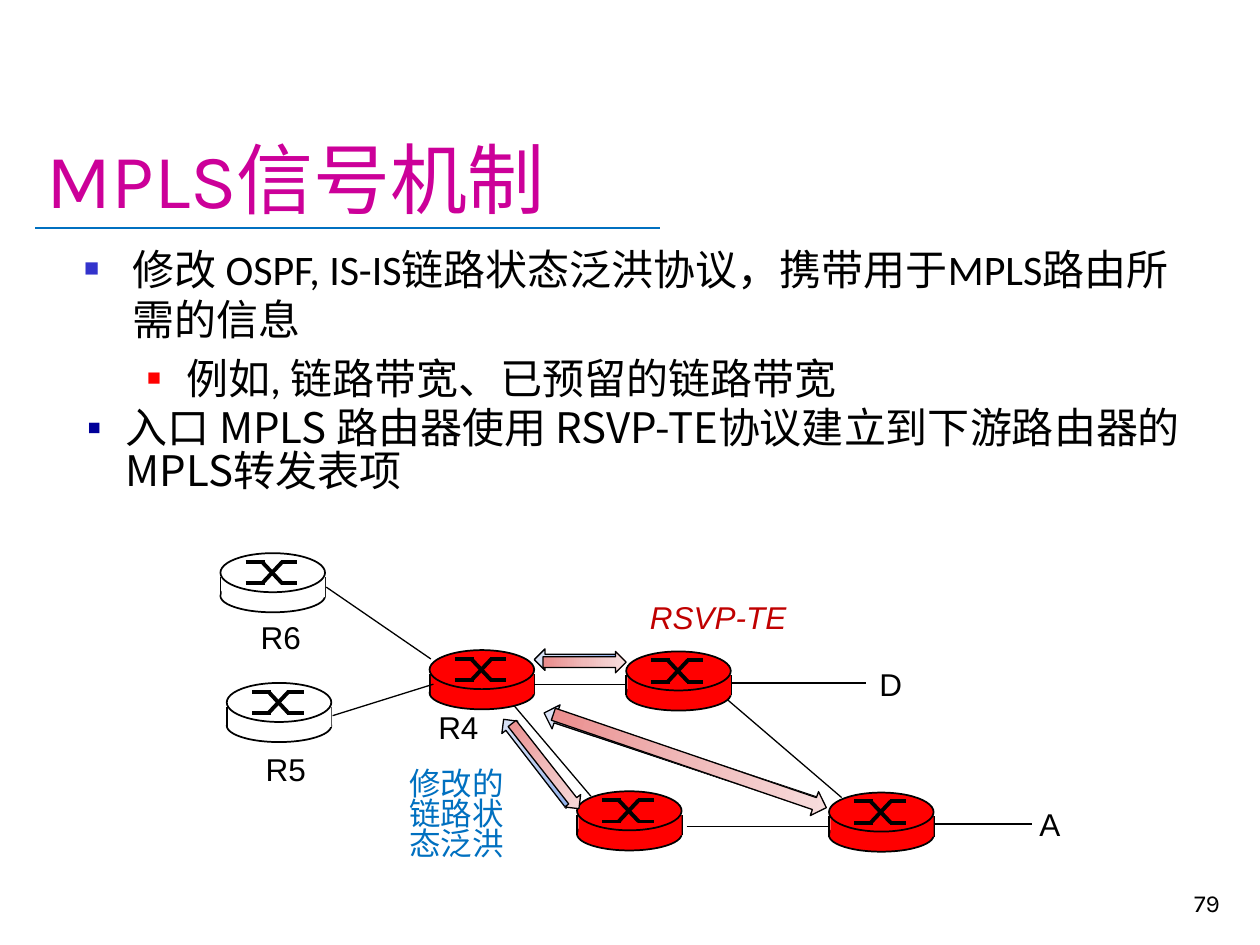
from copy import deepcopy
from lxml.etree import SubElement
from pptx import Presentation
from pptx.dml.color import RGBColor
from pptx.enum.shapes import MSO_CONNECTOR as Conn, MSO_SHAPE as Shape
from pptx.enum.text import MSO_ANCHOR as Anchor, MSO_AUTO_SIZE as Auto, PP_ALIGN as Align
from pptx.oxml.ns import qn
from pptx.util import Inches, Pt

CJK = "Noto Sans CJK SC"
BLACK, RED, WHITE = "000000", "FF0000", "FFFFFF"

# Content: text, indent, bullet, bullet colour, bullet size
TITLE = "MPLS信号机制"
PAGE = "79"
POINTS = [
    ("修改 OSPF, IS-IS链路状态泛洪协议，携带用于MPLS路由所需的信息",
     (0.38, -0.38), "■", "3333CC", 60),
    ("例如, 链路带宽、已预留的链路带宽", (0.81, -0.31), "■", "FF0000", 55),
]
ENTRY = ("入口 MPLS 路由器使用 RSVP-TE协议建立到下游路由器的 MPLS转发表项",
         (0.31, -0.31), "▪", "000099", 100)

# Routers: left, top, colour
ROUTERS = [
    (6.58, 6.29, RED), (4.58, 6.28, RED), (4.97, 5.17, RED),
    (3.41, 5.16, RED), (1.75, 4.39, WHITE), (1.8, 5.42, WHITE),
]
LINKS = [
    (2.59, 4.66, 3.42, 5.23), (2.64, 5.68, 3.44, 5.43),
    (4.24, 5.43, 4.97, 5.43), (4.08, 5.6, 4.69, 6.32),
    (5.45, 6.56, 6.59, 6.56), (5.77, 5.55, 6.68, 6.33),
    (7.42, 6.54, 8.19, 6.54), (5.81, 5.42, 6.87, 5.42),
]
LABELS = [
    ("D", 6.88, 5.23, 0.38), ("R4", 3.38, 5.57, 0.52), ("R5", 2.01, 5.9, 0.52),
    ("A", 8.15, 6.34, 0.37), ("R6", 1.97, 4.86, 0.52),
]
# Signal groups: gradient, arrows (left, top, width, height, turn, flip), note
SIGNALS = [
    (("8CADEA", "BACCF0", "DEE6F7"),
     [(4.24, 5.15, 0.66, 0.17, 180, False), (3.83, 5.97, 0.86, 0.16, 232.3, True),
      (4.26, 5.92, 2.29, 0.2, 198.4, True)],
     ("修改的\n链路状\n态泛洪", (3.15, 6.08, 0.96, 0.82), CJK, "0070C0", False)),
    (("EA8C8C", "F0BABA", "F7DEDE"),
     [(4.31, 5.17, 0.66, 0.17, 0, False), (3.9, 6, 0.86, 0.16, 51.9, True),
      (4.33, 5.94, 2.29, 0.2, 18.9, True)],
     ("RSVP-TE", (5.06, 4.76, 1.3, 0.34), "Arial", "C00000", True)),
]


def rgb(code):
    return RGBColor.from_string(code)


def line(home, x1, y1, x2, y2, color=BLACK, width=0.75):
    link = home.add_connector(Conn.STRAIGHT, *map(Inches, (x1, y1, x2, y2)))
    link.line.color.rgb, link.line.width = rgb(color), Pt(width)
    SubElement(link.element.spPr, qn("a:effectLst"))


def solid(home, kind, box, fill, edge=True):
    part = home.add_shape(kind, *map(Inches, box))
    part.shadow.inherit = False
    part.fill.solid()
    part.fill.fore_color.rgb = rgb(fill)
    if edge:
        part.line.color.rgb, part.line.width = rgb(BLACK), Pt(1)
    else:
        part.line.fill.background()


def frame(home, box, wrap=True, anchor=Anchor.TOP):
    tf = home.add_textbox(*map(Inches, box)).text_frame
    tf.word_wrap, tf.vertical_anchor = wrap, anchor
    if not wrap:
        tf.auto_size = Auto.SHAPE_TO_FIT_TEXT
    return tf


def write(para, text, size, face, color=BLACK):
    para.text = text
    font = para.font
    font.size, font.name, font.color.rgb = Pt(size), face, rgb(color)
    latin = para._p.pPr.find(".//" + qn("a:latin"))
    east = deepcopy(latin)
    east.tag = qn("a:ea")
    east.set("typeface", CJK)
    latin.addnext(east)
    return para


def bullet(para, indent, mark, color, scale):
    props = para._p.get_or_add_pPr()
    props.set("marL", str(Inches(indent[0])))
    props.set("indent", str(Inches(indent[1])))
    para.space_before = Pt(4.8)
    last = props.find(qn("a:defRPr"))
    tint = SubElement(props, qn("a:buClr"))
    SubElement(tint, qn("a:srgbClr"), val=color)
    SubElement(props, qn("a:buSzPct"), val=str(scale * 1000))
    SubElement(props, qn("a:buFont"), typeface="Arial")
    SubElement(props, qn("a:buChar"), char=mark)
    props.append(last)


def router(home, x, y, fill):
    group = home.add_group_shape().shapes
    solid(group, Shape.OVAL, (x, y + 0.21, 0.83, 0.26), fill)
    for side in (x, x + 0.83):
        line(group, side, y + 0.19, side, y + 0.35, width=1)
    solid(group, Shape.RECTANGLE, (x + 0.01, y + 0.19, 0.82, 0.16), fill, False)
    solid(group, Shape.OVAL, (x, y, 0.83, 0.31), fill)
    # Crossed switching symbol
    high, low = y + 0.07, y + 0.24
    for start, end in ((high, low), (low, high)):
        line(group, x + 0.2, start, x + 0.35, start, width=2.25)
        line(group, x + 0.48, end, x + 0.61, end, width=2.25)
        line(group, x + 0.33, start, x + 0.49, end, width=2.25)


def arrow(home, box, turn, flip, colors):
    part = home.add_shape(Shape.RIGHT_ARROW, *map(Inches, box))
    part.shadow.inherit = False
    part.rotation = turn
    props = part.element.spPr
    if flip:
        props.xfrm.set("flipV", "1")
    part.fill.gradient()
    part.fill.gradient_angle = 0
    stops = props.find(".//" + qn("a:gsLst"))
    stops.insert(1, deepcopy(stops[0]))
    for stop, place, color in zip(part.fill.gradient_stops, (0, 0.5, 1), colors):
        stop.position, stop.color.rgb = place, rgb(color)
    part.line.color.rgb, part.line.width = rgb(BLACK), Pt(0.75)


deck = Presentation()
deck.slide_width, deck.slide_height = Inches(10), Inches(7.5)
shapes = deck.slides.add_slide(deck.slide_layouts[6]).shapes

# Title, rule and page number
line(shapes, 0.28, 1.81, 5.24, 1.81, "0070C0", 1.25)
head = frame(shapes, (0.27, 0.23, 9.51, 1.6), anchor=Anchor.BOTTOM)
write(head.paragraphs[0], TITLE, 44, "Karla", "CC0099")
foot = frame(shapes, (7.7, 6.83, 2.08, 0.5), anchor=Anchor.BOTTOM)
write(foot.paragraphs[0], PAGE, 14, "Karla").alignment = Align.RIGHT

# Bulleted text
body = frame(shapes, (0.57, 1.88, 9.12, 1.48))
for n, (text, *style) in enumerate(POINTS):
    para = body.add_paragraph() if n else body.paragraphs[0]
    para.level = n
    bullet(write(para, text, 24, "Calibri"), *style)
text, *style = ENTRY
para = write(frame(shapes, (0.59, 3.2, 9.12, 1.16)).paragraphs[0], text, 24, CJK)
para.line_spacing = 0.85
bullet(para, *style)

# Network
for spot in ROUTERS:
    router(shapes, *spot)
for ends in LINKS:
    line(shapes, *ends)
for name, x, y, w in LABELS:
    write(frame(shapes, (x, y, w, 0.4), False).paragraphs[0], name, 18, "Arial")

# Signalling arrows and notes
for colors, arrows, (text, box, face, color, slant) in SIGNALS:
    group = shapes.add_group_shape().shapes
    for *place, turn, flip in arrows:
        arrow(group, place, turn, flip, colors)
    para = write(frame(group, box, False).paragraphs[0], text, 18, face, color)
    para.line_spacing, para.font.italic = Pt(17), slant

deck.save("out.pptx")
